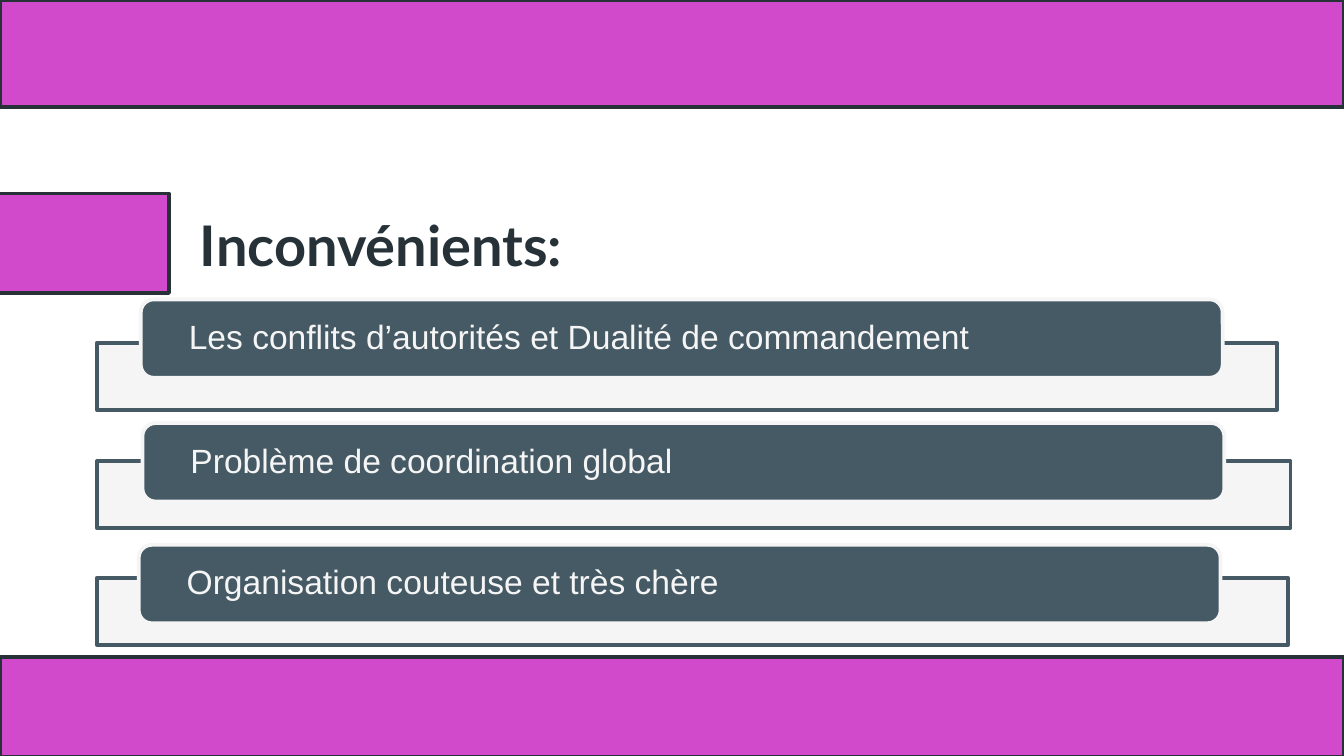
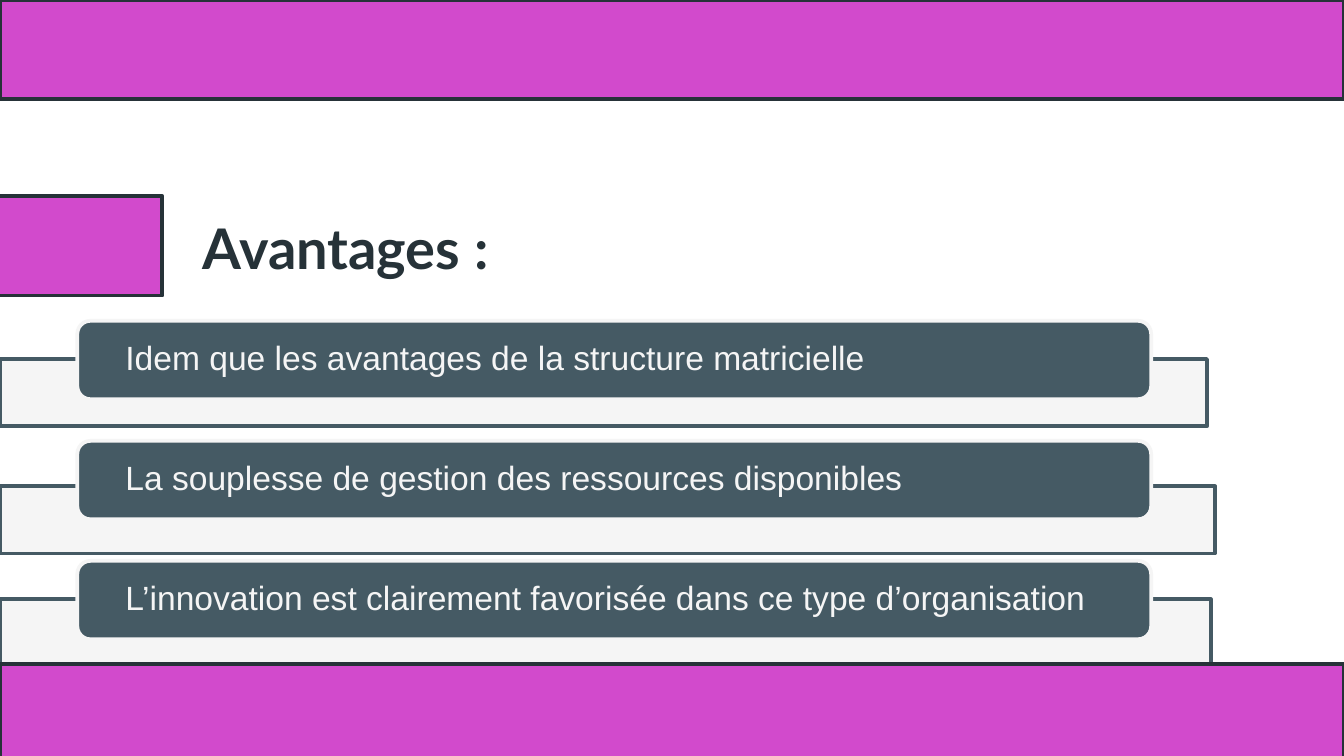
from dataclasses import dataclass

from lxml import etree
from pptx import Presentation
from pptx.dml.color import RGBColor
from pptx.enum import shapes, text
from pptx.oxml.ns import qn
from pptx.util import Pt


@dataclass(frozen=True)
class Theme:
    band: RGBColor = RGBColor(0xD2, 0x4A, 0xCC)
    ink: RGBColor = RGBColor(0x26, 0x32, 0x38)
    slate: RGBColor = RGBColor(0x45, 0x5A, 0x64)
    pale: RGBColor = RGBColor(0xF5, 0xF5, 0xF5)
    title_font: str = "Lato"
    body_font: str = "Arial"
    title_size: Pt = Pt(30)
    body_size: Pt = Pt(18)
    line: Pt = Pt(2)


T = Theme()
WIDTH, HEIGHT = 720, 405
BAR_HEIGHT, PILL_HEIGHT = 36, 42
RECT = shapes.MSO_SHAPE.RECTANGLE
ROUND = shapes.MSO_SHAPE.ROUNDED_RECTANGLE


def add_box(s, kind, box, fill, line):
    sp = s.shapes.add_shape(kind, *map(Pt, box))
    sp.shadow.inherit = False
    sp.fill.solid()
    sp.fill.fore_color.rgb = fill
    sp.line.color.rgb = line
    sp.line.width = T.line
    return sp


def set_text(sp, words, font, size, color, inset_x, inset_y):
    tf = sp.text_frame
    tf.word_wrap = True
    tf.vertical_anchor = text.MSO_ANCHOR.MIDDLE
    tf.margin_left = tf.margin_right = Pt(inset_x)
    tf.margin_top = tf.margin_bottom = Pt(inset_y)
    p = tf.paragraphs[0]
    p.text = words
    p.alignment = text.PP_ALIGN.LEFT
    p.font.name, p.font.size = font, size
    p.font.color.rgb = color
    return p


# Each item: words, pill left, pill top, bar top, bar width
SLIDES = [
    dict(title="Inconvénients:", title_at=(100, 113),
         tag=(-80, 103.7, 170.6, 53.3),
         top_height=57.4, bottom_top=352,
         bar_left=51.9, pill_width=579.6,
         items=[
             ("Les conflits d’autorités et Dualité de commandement", 75.4, 160.4, 183.6, 632.2),
             ("Problème de coordination global", 76.3, 226.7, 247, 639.4),
             ("Organisation couteuse et très chère", 74.3, 291.9, 309.6, 638),
         ]),
    dict(title="Avantages :", title_at=(101.5, 114.5),
         tag=(-80, 105.1, 167, 53.3),
         top_height=53.3, bottom_top=355.8,
         bar_left=0, pill_width=575.3,
         items=[
             ("Idem que les avantages de la structure matricielle", 41.4, 171.9, 192.4, 646.6),
             ("La souplesse de gestion des ressources disponibles", 41.4, 236.2, 260.6, 651),
             ("L’innovation est clairement favorisée dans ce type d’organisation",
              41.4, 300.5, 321.1, 648.7),
         ]),
]

prs = Presentation()
prs.slide_width, prs.slide_height = Pt(WIDTH), Pt(HEIGHT)

for page in SLIDES:
    s = prs.slides.add_slide(prs.slide_layouts[6])

    title = s.shapes.add_textbox(*map(Pt, (*page["title_at"], 337.7, 35.3)))
    p = set_text(title, page["title"], T.title_font, T.title_size, T.ink, 7.2, 7.2)
    p.font.bold = True

    for words, pill_left, pill_top, bar_top, bar_width in page["items"]:
        bar = add_box(s, RECT, (page["bar_left"], bar_top, bar_width, BAR_HEIGHT),
                      T.pale, T.slate)
        color = bar.fill._xPr.find(qn("a:solidFill"))[0]
        etree.SubElement(color, qn("a:alpha"), val="90000")

        pill = add_box(s, ROUND, (pill_left, pill_top, page["pill_width"], PILL_HEIGHT),
                       T.slate, T.pale)
        p = set_text(pill, words, T.body_font, T.body_size, T.pale, 23.7, 2)
        p.line_spacing = 0.9

    for box in ((0, 0, WIDTH, page["top_height"]),
                page["tag"],
                (0, page["bottom_top"], WIDTH, 53.3)):
        add_box(s, RECT, box, T.band, T.ink)

prs.save("out.pptx")
